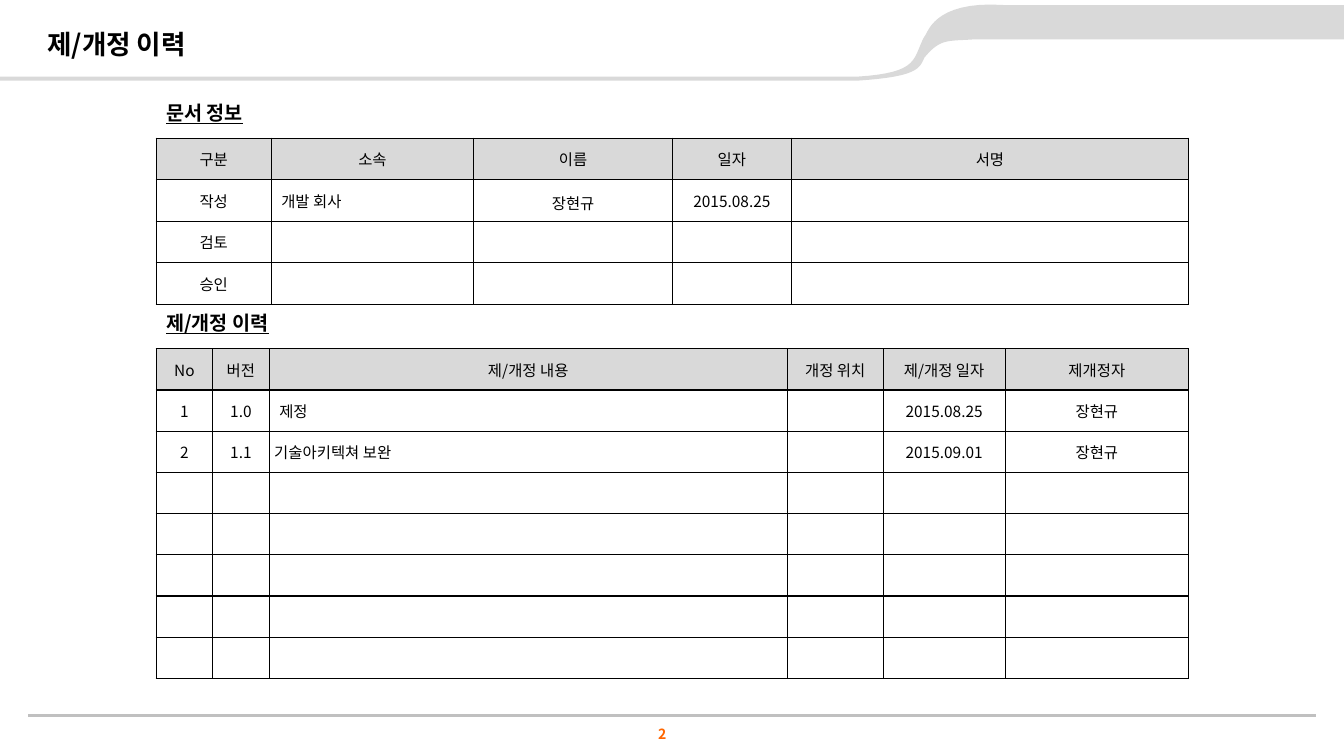
from lxml.etree import SubElement
from pptx import Presentation
from pptx.dml.color import RGBColor
from pptx.enum.shapes import MSO_CONNECTOR
from pptx.enum.text import MSO_ANCHOR, MSO_AUTO_SIZE, PP_ALIGN
from pptx.oxml.ns import qn
from pptx.util import Inches, Pt

FONT = "Noto Sans CJK KR"
BLACK = RGBColor(0x00, 0x00, 0x00)
LIGHT_GREY = RGBColor(0xD9, 0xD9, 0xD9)
RULE_GREY = RGBColor(0xC0, 0xC0, 0xC0)
ORANGE = RGBColor(0xFF, 0x66, 0x00)

TABLE_LEFT = 1.55
DOCUMENT_COLUMNS = [1.14, 2.01, 1.97, 1.18, 3.94]
DOCUMENT_ROWS = [
    ["구분", "소속", "이름", "일자", "서명"],
    ["작성", "개발 회사", "장현규", "2015.08.25", ""],
    ["검토", "", "", "", ""],
    ["승인", "", "", "", ""],
]
HISTORY_COLUMNS = [0.56, 0.56, 5.14, 0.95, 1.21, 1.82]
HISTORY_ROWS = [
    ["No", "버전", "제/개정 내용", "개정 위치", "제/개정 일자", "제개정자"],
    ["1", "1.0", "제정", "", "2015.08.25", "장현규"],
    ["2", "1.1", "기술아키텍쳐 보완", "", "2015.09.01", "장현규"],
] + [[""] * 6] * 5


def format_paragraph(p, size, color=BLACK, bold=False, underline=False, align=PP_ALIGN.LEFT):
    """Set the font and alignment of one paragraph."""
    p.alignment = align
    font = p.font
    font.name, font.size = FONT, Pt(size)
    font.bold, font.underline = bold, underline
    font.color.rgb = color
    east_asian = SubElement(font._element, qn("a:ea"))
    east_asian.set("typeface", FONT)


def add_text(slide, text, left, top, width, height, size, **style):
    """Add a one-line text box, centred vertically."""
    tf = slide.shapes.add_textbox(
        Inches(left), Inches(top), Inches(width), Inches(height)
    ).text_frame
    tf.word_wrap = True
    tf.vertical_anchor = MSO_ANCHOR.MIDDLE
    tf.margin_top = tf.margin_bottom = 0
    p = tf.paragraphs[0]
    p.text = text
    format_paragraph(p, size, **style)


def set_title(slide, text):
    """Place and format the title placeholder."""
    title = slide.shapes.title
    title.left, title.top = Inches(0.37), Inches(0.2)
    title.width, title.height = Inches(7.09), Inches(0.48)
    tf = title.text_frame
    tf.text = text
    tf.auto_size = MSO_AUTO_SIZE.NONE
    tf.vertical_anchor = MSO_ANCHOR.MIDDLE
    format_paragraph(tf.paragraphs[0], 19, bold=True)


def curve(*controls, steps=16):
    """Return points along a cubic curve given its four control points."""
    points = []
    for i in range(steps + 1):
        t = i / steps
        weights = ((1 - t) ** 3, 3 * t * (1 - t) ** 2, 3 * t**2 * (1 - t), t**3)
        points.append(tuple(sum(w * c[k] for w, c in zip(weights, controls)) for k in (0, 1)))
    return points


def add_header_band(slide):
    """Draw the grey band that sweeps up across the header."""
    outline = [
        (0, 0.76),
        *curve((8.51, 0.76), (9.13, 0.72), (9.05, 0.58), (9.17, 0.36)),
        *curve((9.17, 0.36), (9.2, 0.35), (9.24, 0), (9.96, 0.05)),
        (13.33, 0.05),
        (13.33, 0.39),
        *curve((9.67, 0.39), (9.39, 0.41), (9.33, 0.38), (9.17, 0.57)),
        *curve((9.17, 0.57), (9.12, 0.68), (9.1, 0.76), (8.51, 0.8)),
        (0, 0.8),
    ]
    points = [(Inches(x), Inches(y)) for x, y in outline]
    builder = slide.shapes.build_freeform(*points[0])
    builder.add_line_segments(points[1:], close=True)
    band = builder.convert_to_shape()
    band.shadow.inherit = False
    band.fill.solid()
    band.fill.fore_color.rgb = LIGHT_GREY
    band.line.fill.background()


def add_footer_rule(slide):
    """Draw the grey line above the page number."""
    rule = slide.shapes.add_connector(
        MSO_CONNECTOR.STRAIGHT, Inches(0.28), Inches(7.1), Inches(13.05), Inches(7.1)
    )
    rule.line.color.rgb = RULE_GREY
    rule.line.width = Pt(2)
    SubElement(rule._element.spPr, qn("a:effectLst"))


def add_borders(cell):
    """Give a cell thin black borders on all sides."""
    tc_pr = cell._tc.get_or_add_tcPr()
    for side in ("lnL", "lnR", "lnT", "lnB"):
        line = SubElement(tc_pr, qn(f"a:{side}"), w=str(Pt(1)))
        fill = SubElement(line, qn("a:solidFill"))
        SubElement(fill, qn("a:srgbClr"), val=str(BLACK))


def add_grid(slide, rows, columns, top, height, text_column):
    """Add a bordered table with a grey header and one left-aligned column."""
    table = slide.shapes.add_table(
        len(rows), len(columns), Inches(TABLE_LEFT), Inches(top),
        Inches(sum(columns)), Inches(height),
    ).table
    table.first_row = table.horz_banding = False
    for column, width in zip(table.columns, columns):
        column.width = Inches(width)
    for r, row in enumerate(rows):
        table.rows[r].height = Inches(height / len(rows))
        for c, text in enumerate(row):
            cell = table.cell(r, c)
            add_borders(cell)
            if r == 0:
                cell.fill.solid()
                cell.fill.fore_color.rgb = LIGHT_GREY
            else:
                cell.fill.background()
            cell.vertical_anchor = MSO_ANCHOR.MIDDLE
            cell.margin_left = cell.margin_right = Inches(0.1 if r == 1 else 0.05)
            cell.margin_top = cell.margin_bottom = 0
            p = cell.text_frame.paragraphs[0]
            p.text = text
            left_aligned = r > 0 and c == text_column
            format_paragraph(p, 11, align=PP_ALIGN.LEFT if left_aligned else PP_ALIGN.CENTER)
    return table


def main():
    """Build the revision history slide."""
    prs = Presentation()
    prs.slide_width, prs.slide_height = Inches(13.33), Inches(7.5)
    slide = prs.slides.add_slide(prs.slide_layouts[5])
    add_header_band(slide)
    add_footer_rule(slide)
    add_text(slide, "2", 6.43, 7.2, 0.39, 0.17, 10, color=ORANGE, bold=True)
    set_title(slide, "제/개정 이력")
    add_grid(slide, HISTORY_ROWS, HISTORY_COLUMNS, 3.46, 3.27, text_column=2)
    document = add_grid(slide, DOCUMENT_ROWS, DOCUMENT_COLUMNS, 1.37, 1.65, text_column=1)
    document.cell(1, 2).text_frame.paragraphs[0].line_spacing = 1.2
    for heading, top in (("문서 정보", 0.88), ("제/개정 이력", 2.96)):
        add_text(slide, heading, TABLE_LEFT, top, 5.76, 0.48, 14, bold=True, underline=True)
    prs.save("out.pptx")


if __name__ == "__main__":
    main()
